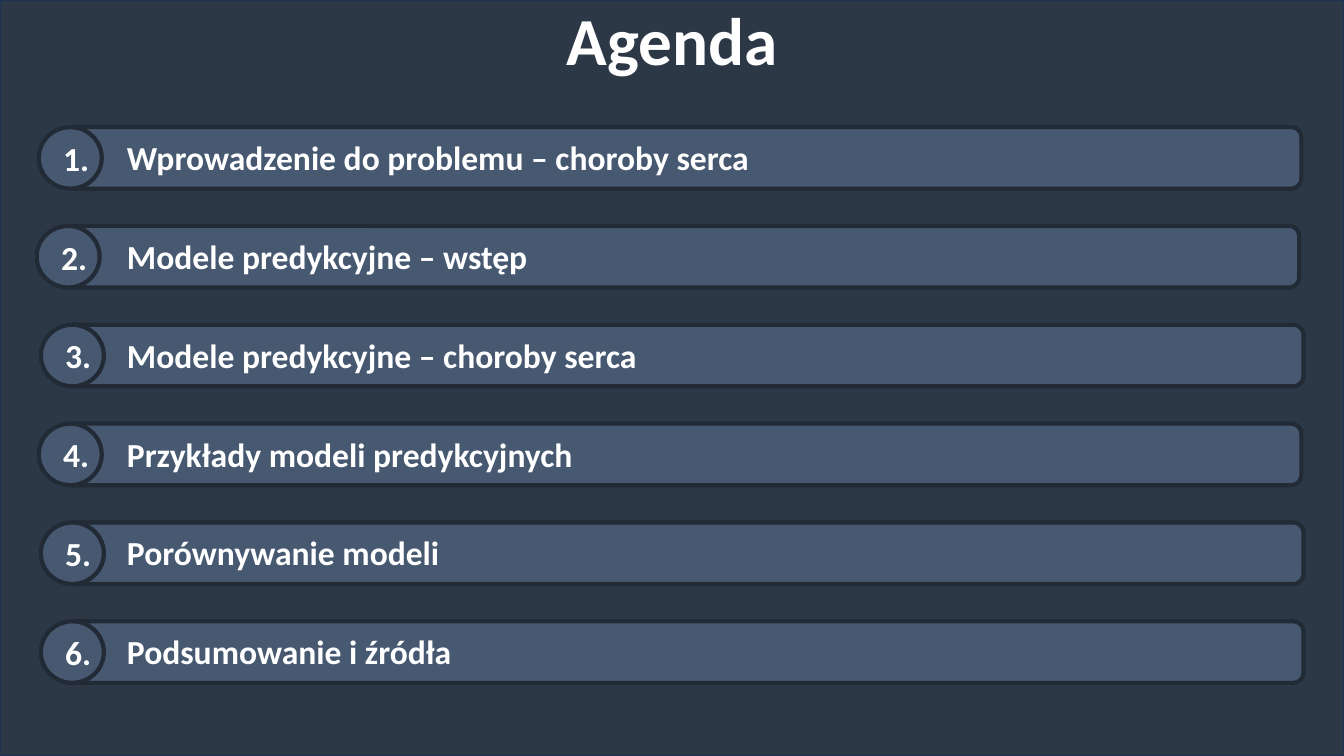
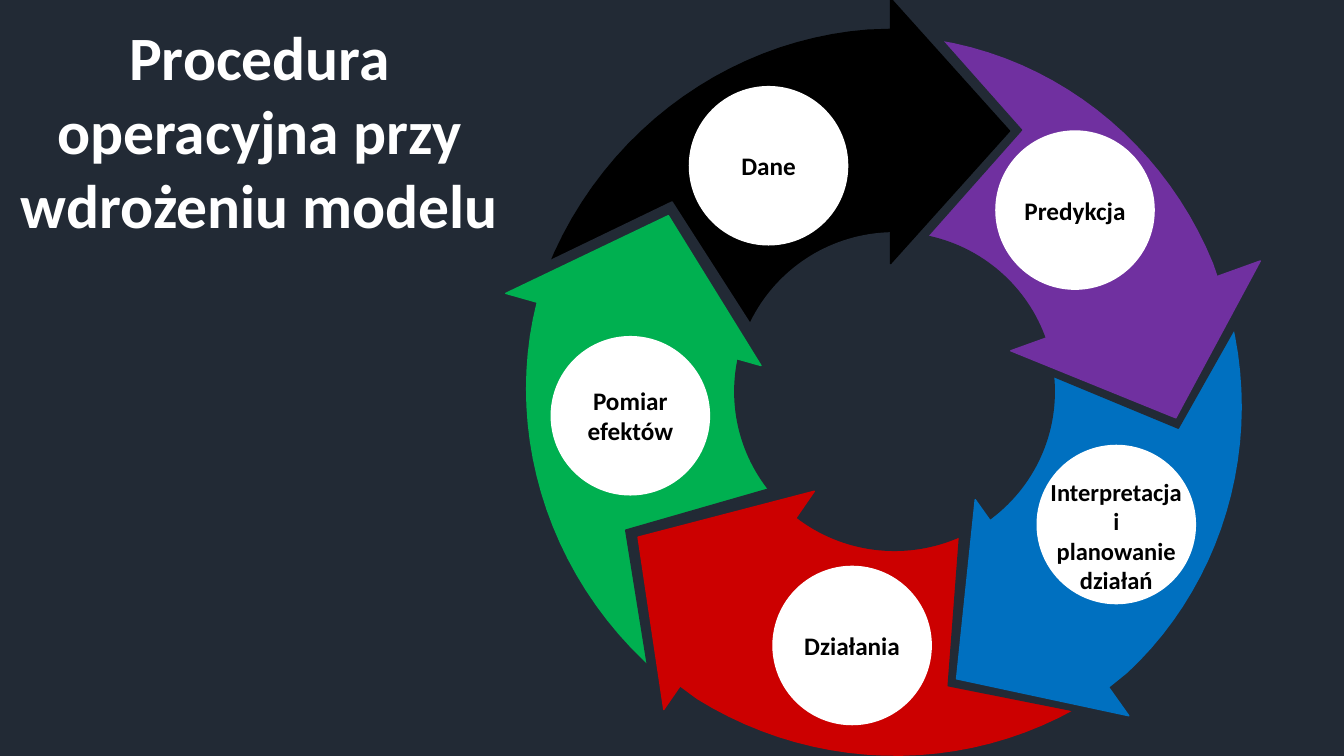
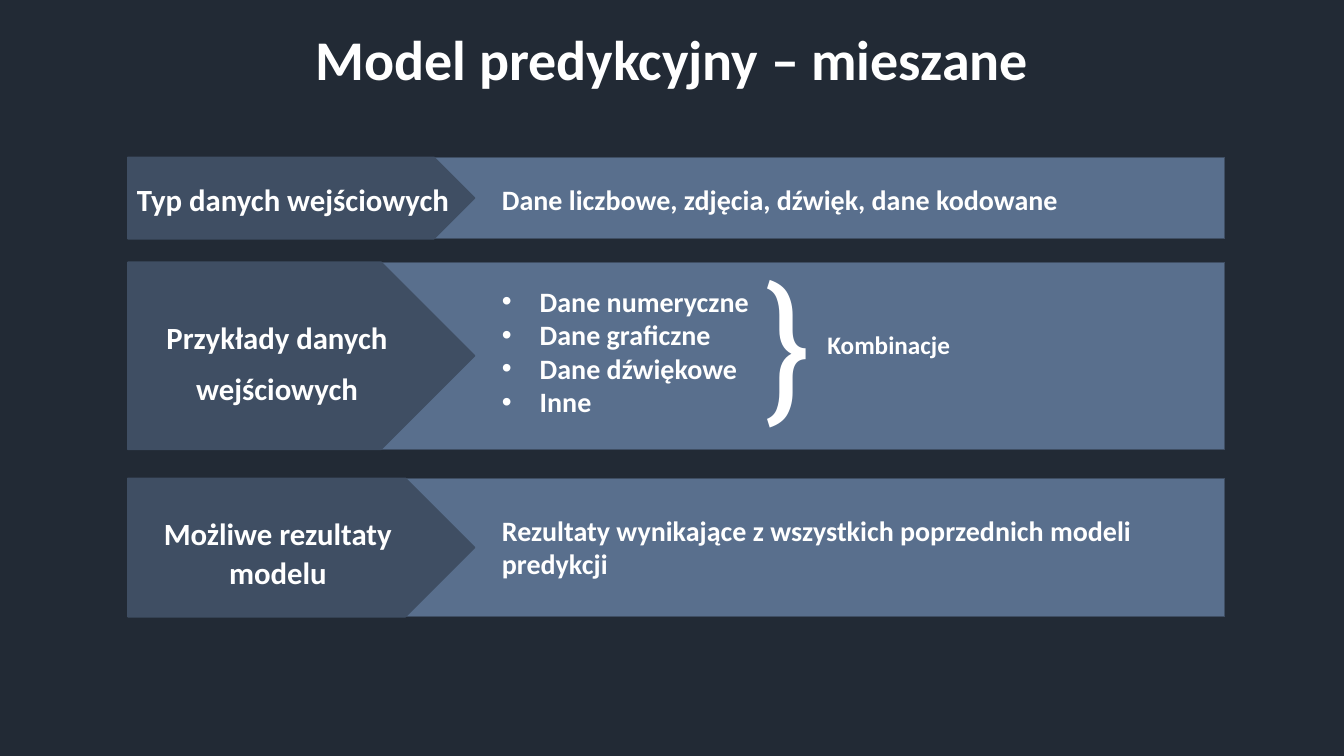
from lxml import etree
from pptx import Presentation
from pptx import util as u
from pptx.dml.color import RGBColor
from pptx.enum import shapes, text
from pptx.oxml import ns

Pt = u.Pt
MSO = shapes.MSO_SHAPE
LEFT, CENTER = text.PP_ALIGN.LEFT, text.PP_ALIGN.CENTER


class Deck:
    """Hold the deck style and the current slide, and draw each kind of element."""

    W, H = 960, 540
    FONT = "Calibri"
    COLORS = {
        "white": "FFFFFF", "black": "000000", "night": "222A35",
        "slate": "2D3847", "frame": "1E3256", "bar": "475871",
        "plate": "3F4E63", "panel": "596F8D", "purple": "7030A0",
        "blue": "0070C0", "green": "00B050", "red": "CC0000",
    }

    def __init__(self):
        self.prs = Presentation()
        self.prs.slide_width, self.prs.slide_height = Pt(self.W), Pt(self.H)
        self.s = None

    def rgb(self, color):
        return RGBColor.from_string(self.COLORS[color])

    def slide(self, back):
        self.s = self.prs.slides.add_slide(self.prs.slide_layouts[6])
        fill = self.s.background.fill
        fill.solid()
        fill.fore_color.rgb = self.rgb(back)

    def paint(self, sp, fill, line, weight):
        sp.shadow.inherit = False
        sp.fill.solid()
        sp.fill.fore_color.rgb = self.rgb(fill)
        sp.line.color.rgb = self.rgb(line or fill)
        sp.line.width = Pt(weight)
        return sp

    def shape(self, kind, x, y, w, h, fill, line=None, weight=1, rot=0):
        sp = self.s.shapes.add_shape(kind, Pt(x), Pt(y), Pt(w), Pt(h))
        sp.rotation = rot
        return self.paint(sp, fill, line, weight)

    def sector(self, curve, corners, fill, steps=24):
        points = []
        for i in range(steps + 1):
            t = i / steps
            weights = (1 - t) ** 3, 3 * t * (1 - t) ** 2, 3 * t * t * (1 - t), t ** 3
            points.append(tuple(sum(k * c[a] for k, c in zip(weights, curve)) for a in (0, 1)))
        points = [(Pt(x), Pt(y)) for x, y in points + corners]
        builder = self.s.shapes.build_freeform(*points[0], scale=1.0)
        builder.add_line_segments(points[1:], close=True)
        return self.paint(builder.convert_to_shape(), fill, None, 1)

    def add_lines(self, tf, lines, size, color="white", align=LEFT, bold=True,
                  font=FONT, spacing=None, after=0, bullet=False):
        for i, line in enumerate(lines):
            p = tf.add_paragraph() if i else tf.paragraphs[0]
            p.alignment = align
            p.space_after = Pt(after)
            if spacing:
                p.line_spacing = spacing
            if bullet:
                pPr = p._p.get_or_add_pPr()
                pPr.set("marL", str(Pt(27)))
                pPr.set("indent", str(-Pt(27)))
                etree.SubElement(pPr, ns.qn("a:buFont")).set("typeface", "Arial")
                etree.SubElement(pPr, ns.qn("a:buChar")).set("char", "•")
            r = p.add_run()
            r.text = line
            r.font.name, r.font.size, r.font.bold = font, Pt(size), bold
            r.font.color.rgb = self.rgb(color)

    def text(self, x, y, w, h, lines, size, **style):
        tf = self.s.shapes.add_textbox(Pt(x), Pt(y), Pt(w), Pt(h)).text_frame
        tf.word_wrap = True
        self.add_lines(tf, lines, size, **style)

    def title(self, y, h, lines, size, w=W):
        self.text(0, y, w, h, lines, size, align=CENTER)

    def badge(self, x, y, lines, size, drop=0):
        sp = self.shape(MSO.OVAL, x, y, 113, 113, "white")
        tf = sp.text_frame
        tf.word_wrap = False
        tf.vertical_anchor = text.MSO_ANCHOR.MIDDLE
        tf.margin_left = tf.margin_right = tf.margin_bottom = 0
        tf.margin_top = Pt(drop)
        self.add_lines(tf, lines, size, "black", CENTER)

    def triangle(self, x, y, w, h, rot, fill, tip=0.5):
        sp = self.shape(MSO.ISOSCELES_TRIANGLE, x, y, w, h, fill, rot=rot)
        sp.adjustments[0] = tip


AGENDA = [
    (44, "Wprowadzenie do problemu – choroby serca"),
    (42.5, "Modele predykcyjne – wstęp"),
    (45.5, "Modele predykcyjne – choroby serca"),
    (44, "Przykłady modeli predykcyjnych"),
    (45.5, "Porównywanie modeli"),
    (45.5, "Podsumowanie i źródła"),
]

CYCLE = [
    dict(color="purple", curve=[(629.3, 25.9), (735.8, 25.9), (827.3, 92.9), (866.2, 188.6)],
         corners=[(872.6, 207.4), (629.3, 292.3)], gap=(730.1, 221.8, 161),
         head=(730.8, 216, 160.2, 0.5), badge=(711.4, 93.6, ["Predykcja"], 18)),
    dict(color="blue", curve=[(871.2, 201.6), (907.2, 303.1), (877.7, 412.6), (805, 480.2)],
         corners=[(789.8, 492.5), (629.3, 288.7)], gap=(614.2, 420.5, 232.8),
         head=(622.1, 416.2, 234.6, 0.49),
         badge=(740.9, 318.2, ["Interpretacja", "i", "planowanie", "działań"], 17.5, 16)),
    dict(color="black", curve=[(385.9, 206.6), (422.6, 99.4), (517, 29.5), (619.9, 21.6)],
         corners=[(639.4, 20.9), (635.8, 292.3)], gap=(589, 49.7, 90),
         head=(583.9, 51.1, 90, 0.5), badge=(492.5, 61.9, ["Dane"], 18)),
    dict(color="green", curve=[(481, 489.6), (394.6, 421.9), (359.3, 313.2), (383.8, 216)],
         corners=[(389.5, 197.3), (638.6, 286.6)], gap=(370.8, 142.6, 15.8),
         head=(369.3, 151.9, 15.8, 0.51), badge=(393.8, 240.5, ["Pomiar", "efektów"], 18)),
    dict(color="red", curve=[(790.6, 491.8), (701.3, 554.4), (586.1, 553.7), (498.2, 499)],
         corners=[(482.4, 487.4), (637.2, 274.3)], gap=(385.9, 358.6, 302.4),
         head=(398.2, 362.2, 304.6, 0.48), badge=(552.2, 404.6, ["Działania"], 18)),
]

MODEL_ROWS = [
    dict(top=112.3, height=58.3, label=(90.7, 123.8, 270, 32), align=LEFT,
         name=["Typ danych wejściowych"], value_top=125.3,
         value=["Dane liczbowe, zdjęcia, dźwięk, dane kodowane"], style=dict(spacing=1.07)),
    dict(top=187.2, height=133.9, label=(93.5, 222.5, 208.8, 70), align=CENTER,
         name=["Przykłady danych", "wejściowych"], value_top=199.4,
         value=["Dane numeryczne", "Dane graficzne", "Dane dźwiękowe", "Inne"],
         style=dict(bullet=True)),
    dict(top=341.6, height=99, label=(106.6, 362.2, 183.6, 62), align=CENTER,
         name=["Możliwe rezultaty modelu"], value_top=362.9,
         value=["Rezultaty wynikające z wszystkich poprzednich modeli predykcji"], style={}),
]


def agenda(d):
    d.slide("slate")
    d.shape(MSO.RECTANGLE, 0, 0, d.W, d.H, "slate", "frame")
    d.title(-5, 65, ["Agenda"], 48)
    for i, (x, topic) in enumerate(AGENDA):
        y = 90.8 + 70.6 * i
        d.shape(MSO.ROUNDED_RECTANGLE, x, y, 885.6, 44, "bar", "night", 3)
        d.shape(MSO.OVAL, x - 16.3, y, 45, 44, "bar", "night", 3)
        d.text(x - 6, y + 4, 34.6, 36, [f"{i + 1}."], 24)
        d.text(83.6, y + 3.5, 840, 36, [topic], 24)


def procedure(d):
    d.slide("night")
    for step in CYCLE:
        d.sector(step["curve"], step["corners"], step["color"])
    d.shape(MSO.OVAL, 524.9, 166.3, 228.2, 226.8, "night")
    for step in CYCLE:
        x, y, rot = step["gap"]
        d.triangle(x, y, 195, 86.4, rot, "night")
    for step in CYCLE:
        x, y, rot, tip = step["head"]
        d.triangle(x, y, 189.4, 85, rot, step["color"], tip)
    for step in CYCLE:
        d.badge(*step["badge"])
    d.title(10, 166, ["Procedura", "operacyjna przy wdrożeniu modelu"], 44, 371)


def mixed_model(d):
    d.slide("night")
    d.title(13.7, 55, ["Model predykcyjny – mieszane"], 40)
    for row in MODEL_ROWS:
        top, height = row["top"], row["height"]
        d.shape(MSO.RECTANGLE, 91.4, top, 783.4, height, "panel", "plate", 0.5)
        d.shape(MSO.PENTAGON, 91.4, top, 247.7, height, "plate")
        d.text(*row["label"], row["name"], 22, align=row["align"], spacing=1.07, after=8)
        d.text(351.4, row["value_top"], 516, 32, row["value"], 20, **row["style"])
    d.text(539.3, 172.8, 40, 140, ["}"], 110, bold=False, font="Roboto Condensed")
    d.text(583.9, 231.8, 155, 29, ["Kombinacje"], 18)


def main():
    d = Deck()
    agenda(d)
    procedure(d)
    mixed_model(d)
    d.prs.save("out.pptx")


if __name__ == "__main__":
    main()
